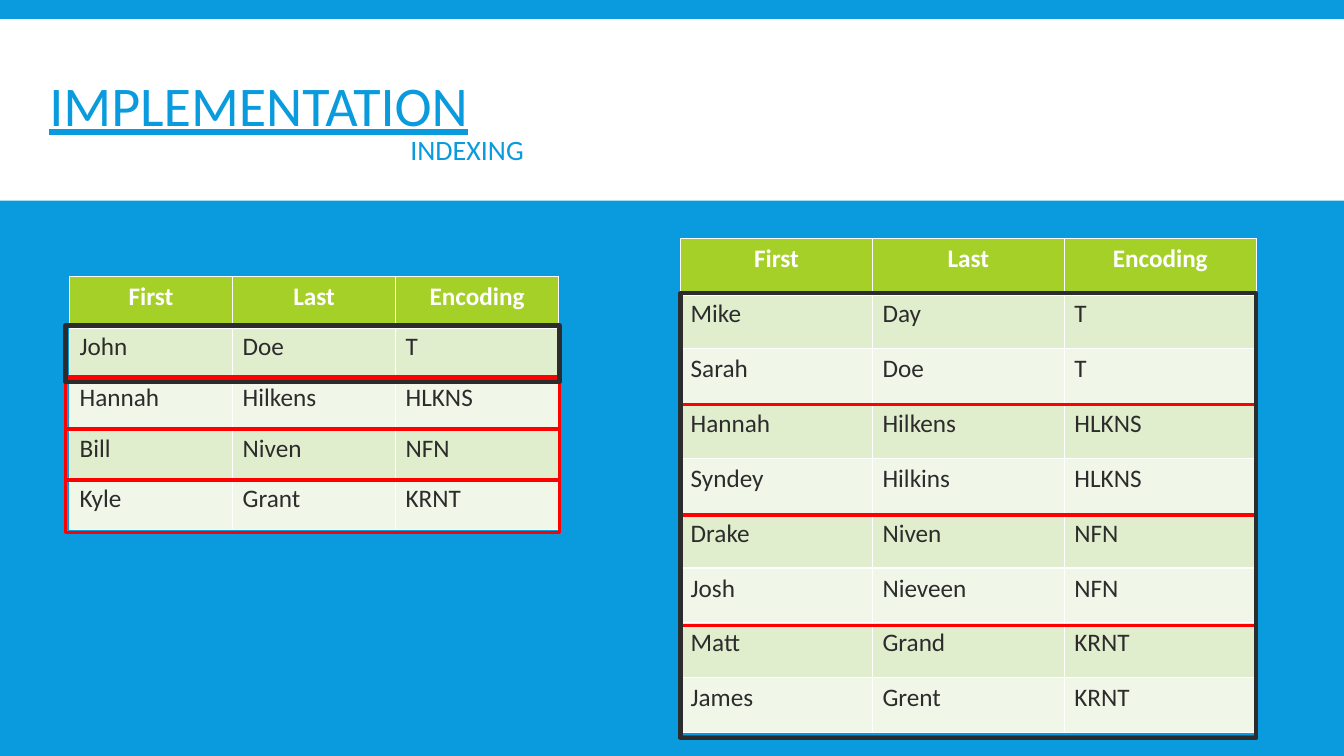
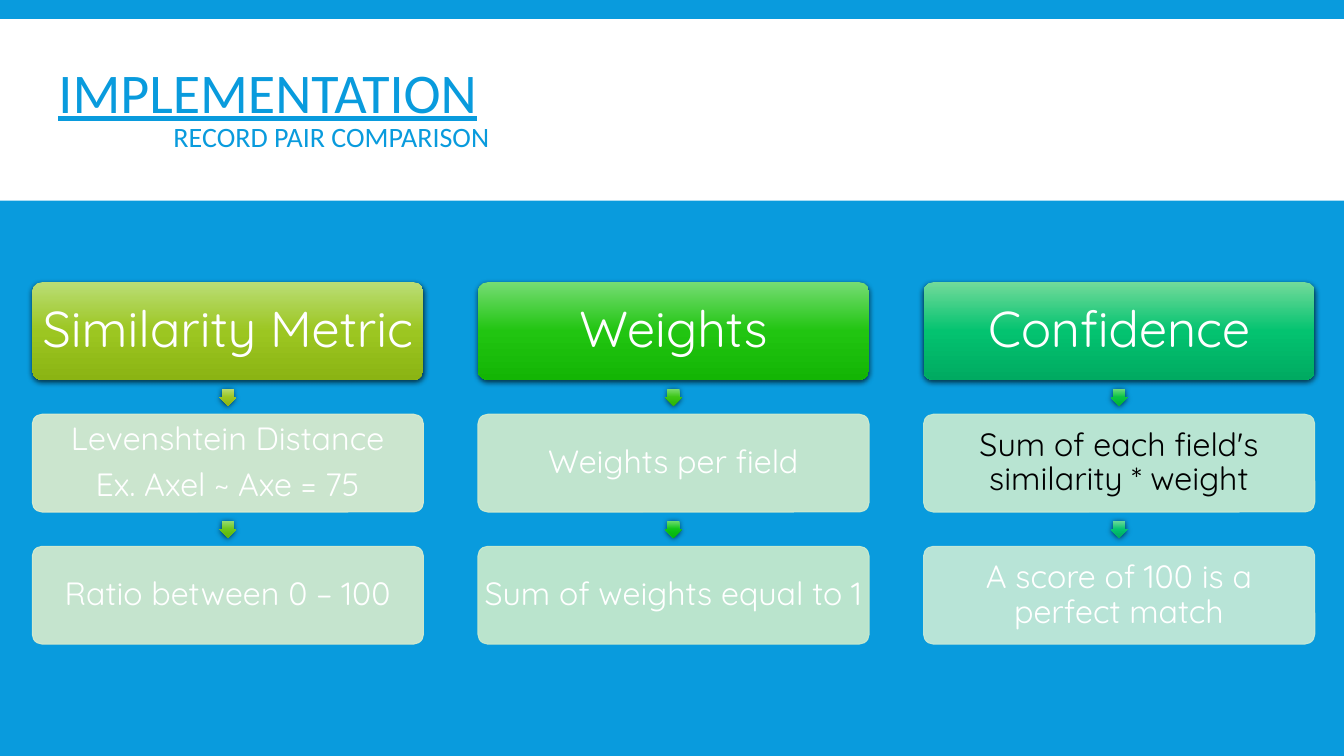
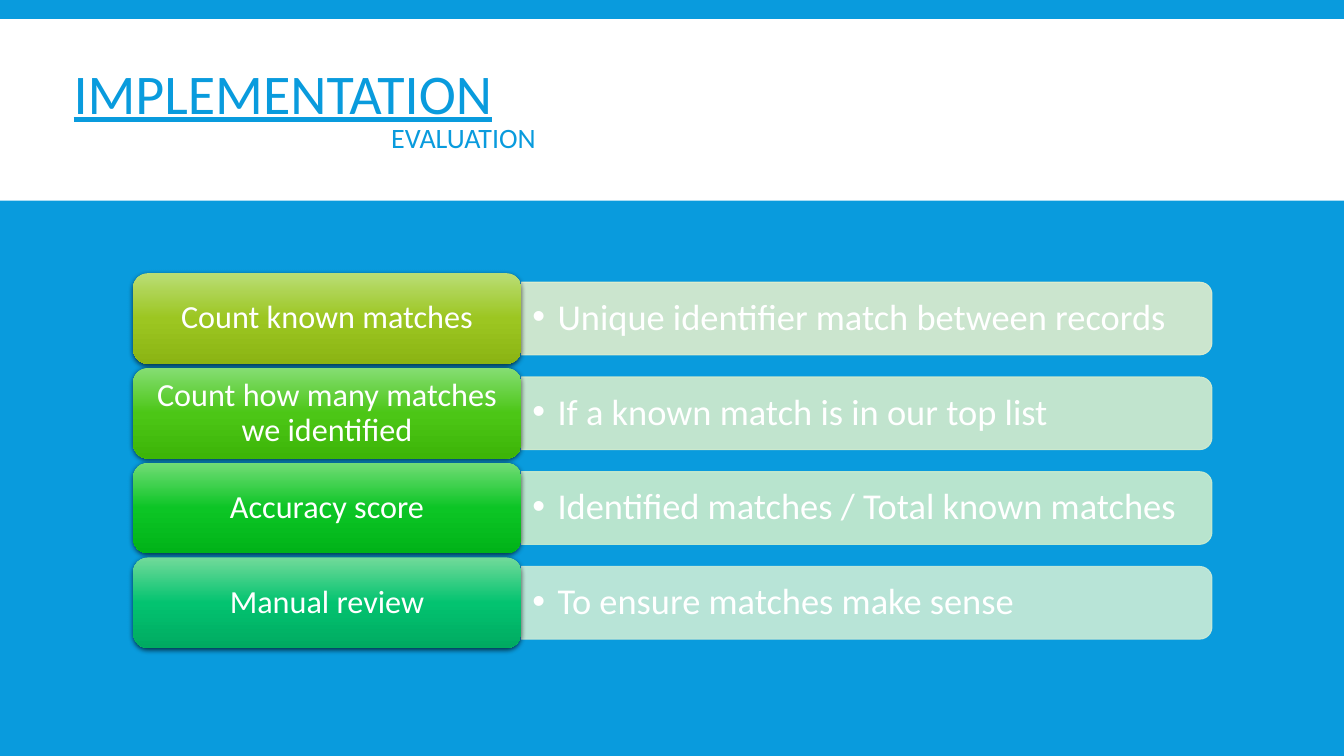
from dataclasses import dataclass

from lxml.etree import SubElement
from pptx import Presentation
from pptx.dml.color import RGBColor
from pptx.enum.shapes import MSO_SHAPE
from pptx.enum.text import MSO_ANCHOR, MSO_AUTO_SIZE, PP_ALIGN
from pptx.oxml import parse_xml
from pptx.oxml.ns import nsdecls, qn
from pptx.util import Inches, Pt


@dataclass(frozen=True)
class Theme:
    # Colours
    blue: str = "099BDD"
    white: str = "FFFFFF"
    black: str = "000000"
    ink: str = "2C2C2C"
    red: str = "FF0000"
    table_header: str = "A5D028"
    table_bands: tuple = ("E1EECD", "F0F7E8")
    # Gradients, top to bottom
    lime: tuple = ("BADD75", "9CC621", "8BB413")
    apple: tuple = ("98DD74", "6DC61B", "5DB50C")
    fern: tuple = ("85DD73", "4CC616", "3DB508")
    leaf: tuple = ("7DDD73", "3BC614", "2CB506")
    grass: tuple = ("75DC73", "21C511", "13B504")
    green: tuple = ("72DC73", "0EC516", "01B409")
    emerald: tuple = ("72DC76", "0CC525", "00B318")
    jade: tuple = ("72DB80", "08C442", "00B036")
    mint: tuple = ("72DA9A", "03C370", "00AA61")
    # Fonts and sizes
    font: str = "Calibri"
    card_font: str = "Quicksand"
    title_size: int = 40
    subtitle_size: int = 20
    table_size: int = 18
    heading_size: int = 36
    card_size: int = 23
    detail_size: int = 26


THEME = Theme()


def rgb(code):
    return RGBColor.from_string(code)


def box(left, top, width, height):
    return [Inches(value) for value in (left, top, width, height)]


# ---- Text ----
def style(paragraph, size, color, font=THEME.font, bold=None, underline=None):
    paragraph.font.name = font
    paragraph.font.size = Pt(size)
    paragraph.font.color.rgb = rgb(color)
    paragraph.font.bold = bold
    paragraph.font.underline = underline


def set_margins(frame, horizontal, vertical):
    frame.margin_left = frame.margin_right = Inches(horizontal)
    frame.margin_top = frame.margin_bottom = Inches(vertical)
    frame.word_wrap = True
    frame.vertical_anchor = MSO_ANCHOR.MIDDLE


def write_centred(shape, lines, size, color, font, margins):
    frame = shape.text_frame
    set_margins(frame, *margins)
    frame.text = "\n".join(lines)
    for index, paragraph in enumerate(frame.paragraphs):
        paragraph.alignment = PP_ALIGN.CENTER
        paragraph.line_spacing = 0.9
        if index:
            paragraph.space_before = Pt(8)
        style(paragraph, size, color, font)


# ---- Shapes ----
def add_plain(slide, kind, place):
    shape = slide.shapes.add_shape(kind, *box(*place))
    shape.shadow.inherit = False
    shape.line.fill.background()
    return shape


def add_glossy(slide, kind, place, gradient, adjustments=()):
    shape = add_plain(slide, kind, place)
    for index, value in enumerate(adjustments):
        shape.adjustments[index] = value
    stops = "".join(
        f'<a:gs pos="{index * 50000}"><a:srgbClr val="{color}"/></a:gs>'
        for index, color in enumerate(gradient))
    properties = shape.element.spPr
    properties.find(qn("a:prstGeom")).addnext(parse_xml(
        f'<a:gradFill {nsdecls("a")} rotWithShape="1"><a:gsLst>{stops}</a:gsLst>'
        '<a:lin ang="5400000" scaled="0"/></a:gradFill>'))
    properties.find(qn("a:effectLst")).append(parse_xml(
        f'<a:outerShdw {nsdecls("a")} blurRad="{Pt(4)}" dist="{Pt(1.2)}" dir="5400000" '
        'algn="ctr" rotWithShape="0"><a:srgbClr val="000000"><a:alpha val="68000"/>'
        '</a:srgbClr></a:outerShdw>'))
    return shape


def add_tinted(slide, kind, place, color):
    shape = add_plain(slide, kind, place)
    shape.fill.solid()
    shape.fill.fore_color.rgb = rgb(color)
    shape.line.color.rgb = rgb(color)
    shape.line.width = Pt(0.75)
    for tint in shape.element.spPr.iter(qn("a:srgbClr")):
        SubElement(tint, qn("a:alpha"), val="90000")
    return shape


def add_outline(slide, place, color, width):
    outline = add_plain(slide, MSO_SHAPE.RECTANGLE, place)
    outline.fill.background()
    outline.line.color.rgb = rgb(color)
    outline.line.width = Pt(width)


# ---- Tables ----
def set_borders(cell, bottom):
    properties = cell._tc.get_or_add_tcPr()
    for side, width in (("L", 1), ("R", 1), ("T", 1), ("B", bottom)):
        properties.append(parse_xml(
            f'<a:ln{side} {nsdecls("a")} w="{Pt(width)}"><a:solidFill>'
            f'<a:srgbClr val="{THEME.white}"/></a:solidFill></a:ln{side}>'))


def add_name_table(slide, place, people):
    rows = [("First", "Last", "Encoding")] + people
    left, top, width, height = box(*place)
    table = slide.shapes.add_table(
        len(rows), len(rows[0]), left, top, width, height).table
    for column in table.columns:
        column.width = width // len(rows[0])
    for row_index, row in enumerate(rows):
        table.rows[row_index].height = height // len(rows)
        header = row_index == 0
        for column_index, text in enumerate(row):
            cell = table.cell(row_index, column_index)
            set_borders(cell, 3 if header else 1)
            cell.fill.solid()
            cell.fill.fore_color.rgb = rgb(
                THEME.table_header if header else THEME.table_bands[(row_index - 1) % 2])
            cell.text = text
            paragraph = cell.text_frame.paragraphs[0]
            if header:
                paragraph.alignment = PP_ALIGN.CENTER
            style(paragraph, THEME.table_size,
                  THEME.white if header else THEME.ink, bold=header)


# ---- Shared layout and title ----
def set_up_layout(prs, layout, slide):
    background = prs.slide_master.background.fill
    background.solid()
    background.fore_color.rgb = rgb(THEME.blue)
    band = add_plain(slide, MSO_SHAPE.RECTANGLE, (0, 0.19, 13.33, 1.8))
    band.fill.solid()
    band.fill.fore_color.rgb = rgb(THEME.white)
    # Move the band from the slide to the layout, behind its placeholders
    layout.shapes.element.insert(2, band.element)


def set_title(slide, left, top, subtitle, indent):
    title = slide.shapes.title
    title.left, title.top, title.width, title.height = box(left, top, 10.7, 1.65)
    frame = title.text_frame
    set_margins(frame, 0.1, 0.05)
    frame.auto_size = MSO_AUTO_SIZE.NONE
    frame.text = f"IMPLEMENTATION\n{subtitle}"
    heading, caption = frame.paragraphs
    for paragraph in (heading, caption):
        paragraph.alignment = PP_ALIGN.LEFT
        paragraph.line_spacing = 0.85
    caption._p.get_or_add_pPr().set("marL", str(Inches(indent)))
    style(heading, THEME.title_size, THEME.blue, underline=True)
    style(caption, THEME.subtitle_size, THEME.blue, underline=False)


# ---- Slides ----
def build_indexing(slide):
    set_title(slide, 0.39, 0.4, "INDEXING", 3.58)
    add_name_table(slide, (0.69, 2.74, 4.85, 2.51), [
        ("John", "Doe", "T"),
        ("Hannah", "Hilkens", "HLKNS"),
        ("Bill", "Niven", "NFN"),
        ("Kyle", "Grant", "KRNT"),
    ])
    add_name_table(slide, (6.75, 2.37, 5.71, 4.9), [
        ("Mike", "Day", "T"),
        ("Sarah", "Doe", "T"),
        ("Hannah", "Hilkens", "HLKNS"),
        ("Syndey", "Hilkins", "HLKNS"),
        ("Drake", "Niven", "NFN"),
        ("Josh", "Nieveen", "NFN"),
        ("Matt", "Grand", "KRNT"),
        ("James", "Grent", "KRNT"),
    ])
    # Red blocks of equal encoding, then the compared blocks in black
    for block in range(4):
        add_outline(slide, (6.75, 2.91 + 1.1 * block, 5.71, 1.1), THEME.red, 2.25)
        add_outline(slide, (0.65, 3.23 + 0.51 * block, 4.9, 0.52), THEME.red, 2.25)
    add_outline(slide, (0.65, 3.23, 4.9, 0.56), THEME.ink, 3)
    add_outline(slide, (6.75, 2.91, 5.71, 4.41), THEME.ink, 3)


def build_comparison(slide):
    set_title(slide, 0.48, 0.27, "RECORD PAIR COMPARISON", 1.14)
    # Each step: arrow gradient, card tint, text colour, lines
    columns = [
        ("Similarity Metric", THEME.lime, [
            (THEME.lime, "E1EECD", THEME.white,
             ["Levenshtein Distance", "Ex. Axel ~ Axe = 75"]),
            (THEME.apple, "DAEDCD", THEME.white, ["Ratio between 0 – 100"])]),
        ("Weights", THEME.grass, [
            (THEME.leaf, "D4EDCD", THEME.white, ["Weights per field"]),
            (THEME.green, "CEEDCC", THEME.white, ["Sum of weights equal to 1"])]),
        ("Confidence", THEME.mint, [
            (THEME.jade, "CCEDD1", THEME.black,
             ["Sum of each field's similarity * weight"]),
            (THEME.mint, "CCECD7", THEME.white, ["A score of 100 is a perfect match"])]),
    ]
    width, height, gap, arrow = 3.88, 0.97, 0.34, 0.17
    for index, (heading, gradient, steps) in enumerate(columns):
        left, top = 0.32 + 4.42 * index, 2.8
        header = add_glossy(slide, MSO_SHAPE.ROUNDED_RECTANGLE,
                            (left, top, width, height), gradient, [0.1])
        write_centred(header, [heading], THEME.heading_size, THEME.white,
                      THEME.card_font, (0.05, 0.05))
        for arrow_gradient, tint, color, lines in steps:
            add_glossy(slide, MSO_SHAPE.DOWN_ARROW,
                       (left + (width - arrow) / 2, top + height + (gap - arrow) / 2,
                        arrow, arrow), arrow_gradient, [0.67, 0.5])
            top += height + gap
            card = add_tinted(slide, MSO_SHAPE.ROUNDED_RECTANGLE,
                              (left, top, width, height), tint)
            card.adjustments[0] = 0.1
            write_centred(card, lines, THEME.card_size, color,
                          THEME.card_font, (0.03, 0.03))


def add_detail(slide, left, top, width, height, tint, text):
    # The bar is drawn upright and turned so its rounded end faces right
    bar = add_tinted(slide, MSO_SHAPE.ROUND_2_SAME_RECTANGLE,
                     (left + (width - height) / 2, top - (width - height) / 2,
                      height, width), tint)
    bar.rotation = 90
    detail = slide.shapes.add_textbox(*box(left, top + 0.04, width - 0.04, height - 0.08))
    set_margins(detail.text_frame, 0.11, 0.05)
    paragraph = detail.text_frame.paragraphs[0]
    paragraph.text = text
    paragraph.line_spacing = 0.9
    properties = paragraph._p.get_or_add_pPr()
    properties.set("marL", str(Inches(0.25)))
    properties.set("indent", str(-Inches(0.25)))
    SubElement(properties, qn("a:buFont"), typeface="Arial")
    SubElement(properties, qn("a:buChar"), char="•")
    style(paragraph, THEME.detail_size, THEME.white)


def build_evaluation(slide):
    set_title(slide, 0.63, 0.28, "EVALUATION", 3.15)
    steps = [
        ("Count known matches", THEME.lime, "E1EECD",
         "Unique identifier match between records"),
        ("Count how many matches we identified", THEME.fern, "D6EDCD",
         "If a known match is in our top list"),
        ("Accuracy score", THEME.emerald, "CCEDCD",
         "Identified matches / Total known matches"),
        ("Manual review", THEME.mint, "CCECD7", "To ensure matches make sense"),
    ]
    for index, (label, gradient, tint, detail) in enumerate(steps):
        top = 2.71 + 0.94 * index
        add_detail(slide, 5.17, top + 0.09, 6.85, 0.72, tint, detail)
        step = add_glossy(slide, MSO_SHAPE.ROUNDED_RECTANGLE,
                          (1.32, top, 3.85, 0.9), gradient)
        write_centred(step, [label], THEME.card_size, THEME.white,
                      THEME.font, (0.1, 0.05))


def main():
    prs = Presentation()
    prs.slide_width, prs.slide_height = Inches(13.33), Inches(7.5)
    layout = prs.slide_layouts[5]
    builders = (build_indexing, build_comparison, build_evaluation)
    slides = [prs.slides.add_slide(layout) for _ in builders]
    set_up_layout(prs, layout, slides[0])
    for build, slide in zip(builders, slides):
        build(slide)
    prs.save("out.pptx")


if __name__ == "__main__":
    main()
